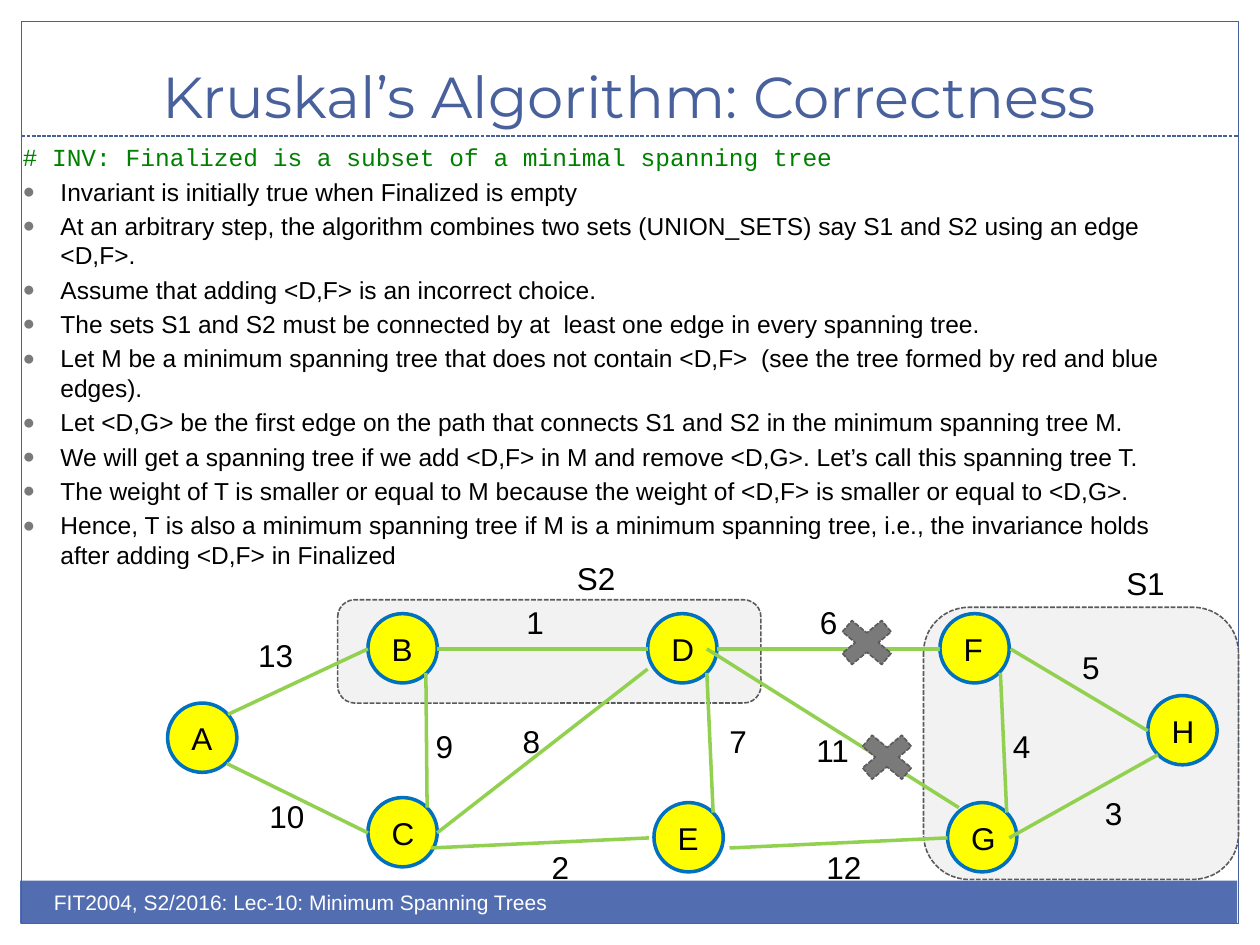
from lxml import etree
from pptx import Presentation
from pptx.dml.color import RGBColor
from pptx.enum.dml import MSO_LINE
from pptx.enum.shapes import MSO_CONNECTOR, MSO_SHAPE
from pptx.enum.text import MSO_ANCHOR, MSO_AUTO_SIZE, PP_ALIGN
from pptx.oxml.ns import qn
from pptx.util import Inches, Pt

RECT, ROUND, OVAL, CROSS = (MSO_SHAPE.RECTANGLE, MSO_SHAPE.ROUNDED_RECTANGLE,
                            MSO_SHAPE.OVAL, MSO_SHAPE.MATH_MULTIPLY)
STRAIGHT = MSO_CONNECTOR.STRAIGHT
DASH = MSO_LINE.SQUARE_DOT
BOTTOM, TOP = MSO_ANCHOR.BOTTOM, MSO_ANCHOR.TOP
CENTER, LEFT = PP_ALIGN.CENTER, PP_ALIGN.LEFT
NO_FIT = MSO_AUTO_SIZE.NONE

NAVY, BAR, WHITE, BLACK = "48609B", "526DB0", "FFFFFF", "000000"
GREEN, YELLOW, BLUE = "92D050", "FFFF00", "0070C0"
LIGHT, GREY, DARK, CODE = "F2F2F2", "7A7A7A", "5A5A5A", "008000"

TITLE = "Kruskal’s Algorithm: Correctness"
FOOTER = "FIT2004, S2/2016: Lec-10: Minimum Spanning Trees"
INVARIANT = "# INV: Finalized is a subset of a minimal spanning tree"
BULLETS = [
    "Invariant is initially true when Finalized is empty",
    "At an arbitrary step, the algorithm combines two sets (UNION_SETS) say S1 and S2 using an edge <D,F>.",
    "Assume that adding <D,F> is an incorrect choice.",
    "The sets S1 and S2 must be connected by at  least one edge in every spanning tree.",
    "Let M be a minimum spanning tree that does not contain <D,F>  (see the tree formed by red and blue edges).",
    "Let <D,G> be the first edge on the path that connects S1 and S2 in the minimum spanning tree M.",
    "We will get a spanning tree if we add <D,F> in M and remove <D,G>. Let’s call this spanning tree T.",
    "The weight of T is smaller or equal to M because the weight of <D,F> is smaller or equal to <D,G>.",
    "Hence, T is also a minimum spanning tree if M is a minimum spanning tree, i.e., the invariance holds "
    "after adding <D,F> in Finalized",
]
MARGINS = [(0, 0, 10, 1.52), (0, 0, 0.17, 7.5), (9.83, 0, 0.17, 7.5)]
SETS = [(7.33, 4.82, 2.5, 2.16), (2.68, 4.76, 3.36, 0.82)]
NODES = {"A": (1.33, 5.58), "B": (2.92, 4.87), "C": (2.92, 6.33), "D": (5.14, 4.87),
         "E": (5.19, 6.37), "F": (7.46, 4.87), "G": (7.52, 6.37), "H": (9.11, 5.52)}
EDGES = [
    (1.81, 5.67, 2.92, 5.15), (1.8, 6.06, 2.92, 6.61), (3.47, 5.15, 5.14, 5.15),
    (5.66, 6.45, 5.61, 5.34), (3.47, 6.61, 5.14, 5.31), (3.39, 6.41, 3.38, 5.34),
    (3.42, 6.73, 5.15, 6.65), (5.69, 5.15, 7.46, 5.15), (7.99, 6.45, 7.94, 5.34),
    (5.61, 5.15, 7.61, 6.41), (5.79, 6.73, 7.52, 6.65), (8.02, 5.15, 9.11, 5.8),
    (8.01, 6.65, 9.19, 5.99),
]
LABELS = {"13": (1.95, 5), "10": (2.04, 6.28), "9": (3.36, 5.72), "1": (4.08, 4.74),
          "8": (4.05, 5.68), "2": (4.28, 6.68), "7": (5.69, 5.68), "6": (6.41, 4.74),
          "11": (6.38, 5.75), "12": (6.46, 6.68), "4": (7.94, 5.72), "3": (8.67, 6.25),
          "5": (8.49, 5.09), "S1": (8.84, 4.43), "S2": (4.48, 4.39)}
CROSSES = [(6.58, 4.85), (6.74, 5.76)]


def rgb(color):
    """Turn a hex string into a colour."""
    return RGBColor.from_string(color)


def style_runs(p, size, font, color):
    """Format every run of a paragraph."""
    for r in p.runs:
        r.font.size, r.font.name = Pt(size), font
        r.font.color.rgb = rgb(color)


def place(slide, sp, x, y, w, h):
    """Move and size a placeholder in inches and bring it to the front."""
    sp.left, sp.top, sp.width, sp.height = map(Inches, (x, y, w, h))
    slide.shapes._spTree.append(sp._element)


def add_box(slide, kind, x, y, w, h, fill=None, line=None, width=0.75, dash=None):
    """Add a preset shape with optional fill and outline."""
    sp = slide.shapes.add_shape(kind, *map(Inches, (x, y, w, h)))
    sp.shadow.inherit = False
    if fill:
        sp.fill.solid()
        sp.fill.fore_color.rgb = rgb(fill)
    else:
        sp.fill.background()
    if line:
        sp.line.color.rgb = rgb(line)
        sp.line.width = Pt(width)
        sp.line.dash_style = dash
    else:
        sp.line.fill.background()


def add_line(slide, x1, y1, x2, y2, color, width, dash=None):
    """Add a straight connector without shadow."""
    cxn = slide.shapes.add_connector(STRAIGHT, *map(Inches, (x1, y1, x2, y2)))
    cxn.line.color.rgb = rgb(color)
    cxn.line.width = Pt(width)
    cxn.line.dash_style = dash
    etree.SubElement(cxn._element.spPr, qn("a:effectLst"))


def add_text(slide, text, x, y, w, size, color, wrap=False):
    """Add a one-line text box."""
    sp = slide.shapes.add_textbox(*map(Inches, (x, y, w, 0.4)))
    tf = sp.text_frame
    tf.word_wrap = wrap
    tf.text = text
    style_runs(tf.paragraphs[0], size, "Arial", color)


def add_label(slide, text, x, y):
    """Add a graph label as wide as its text needs."""
    w = 0.2 + 0.14 * len(text) + (0.03 if text[0].isalpha() else 0)
    add_text(slide, text, x, y, w, 18, BLACK)


def add_node(slide, name, x, y):
    """Add a named graph node."""
    add_box(slide, OVAL, x, y, 0.55, 0.55, YELLOW, BLUE, 2)
    add_label(slide, name, x + 0.09, y + 0.08)


def set_bullet(p, bulleted):
    """Set the bullet and hanging indent of a paragraph."""
    pPr = p._p.get_or_add_pPr()
    indent = Inches(0.3) if bulleted else 0
    pPr.set("marL", str(indent))
    pPr.set("indent", str(-indent))
    if not bulleted:
        etree.SubElement(pPr, qn("a:buNone"))
        return
    clr = etree.SubElement(pPr, qn("a:buClr"))
    etree.SubElement(clr, qn("a:srgbClr"), val=GREY)
    etree.SubElement(pPr, qn("a:buSzPct"), val="85000")
    etree.SubElement(pPr, qn("a:buFont"), typeface="Arial")
    etree.SubElement(pPr, qn("a:buChar"), char="●")


def add_frame(slide):
    """Add the margins, footer bar, border and title rule."""
    for margin in MARGINS:
        add_box(slide, RECT, *margin, WHITE)
    add_box(slide, RECT, 0.16, 6.99, 9.66, 0.34, BAR)
    add_box(slide, RECT, 0.17, 0.17, 9.66, 7.16, line=NAVY)
    add_line(slide, 0.17, 1.08, 9.83, 1.08, NAVY, 0.75, DASH)


def fill_title(slide):
    """Fill the title placeholder."""
    sp = slide.shapes.title
    place(slide, sp, 0.33, 0.25, 9.33, 0.83)
    tf = sp.text_frame
    tf.auto_size, tf.vertical_anchor = NO_FIT, BOTTOM
    tf.text = TITLE
    p = tf.paragraphs[0]
    p.alignment = CENTER
    style_runs(p, 33, "Montserrat", NAVY)


def fill_body(slide):
    """Fill the body placeholder with the invariant and its proof."""
    sp = slide.placeholders[1]
    place(slide, sp, 0.08, 1.08, 9.58, 5)
    tf = sp.text_frame
    tf.auto_size, tf.vertical_anchor = NO_FIT, TOP
    tf.text = "\n".join([INVARIANT] + BULLETS)
    for i, p in enumerate(tf.paragraphs):
        set_bullet(p, i > 0)
        p.alignment = LEFT
        p.space_before = Pt(2.8 if i else 0)
        style_runs(p, 14, *(("Arial", BLACK) if i else ("Courier New", CODE)))


def main():
    """Build the slide and save it."""
    prs = Presentation()
    prs.slide_width, prs.slide_height = Inches(10), Inches(7.5)
    slide = prs.slides.add_slide(prs.slide_layouts[1])
    add_frame(slide)
    for box in SETS:
        add_box(slide, ROUND, *box, LIGHT, DARK, 0.9, DASH)
    fill_title(slide)
    add_text(slide, FOOTER, 0.33, 7.01, 5, 12, WHITE, wrap=True)
    fill_body(slide)

    for name, (x, y) in NODES.items():
        add_node(slide, name, x, y)
    for edge in EDGES:
        add_line(slide, *edge, GREEN, 2)
    for text, (x, y) in LABELS.items():
        add_label(slide, text, x, y)
    for x, y in CROSSES:
        add_box(slide, CROSS, x, y, 0.6, 0.5, GREY, DARK, 0.9, DASH)

    prs.save("out.pptx")


if __name__ == "__main__":
    main()
